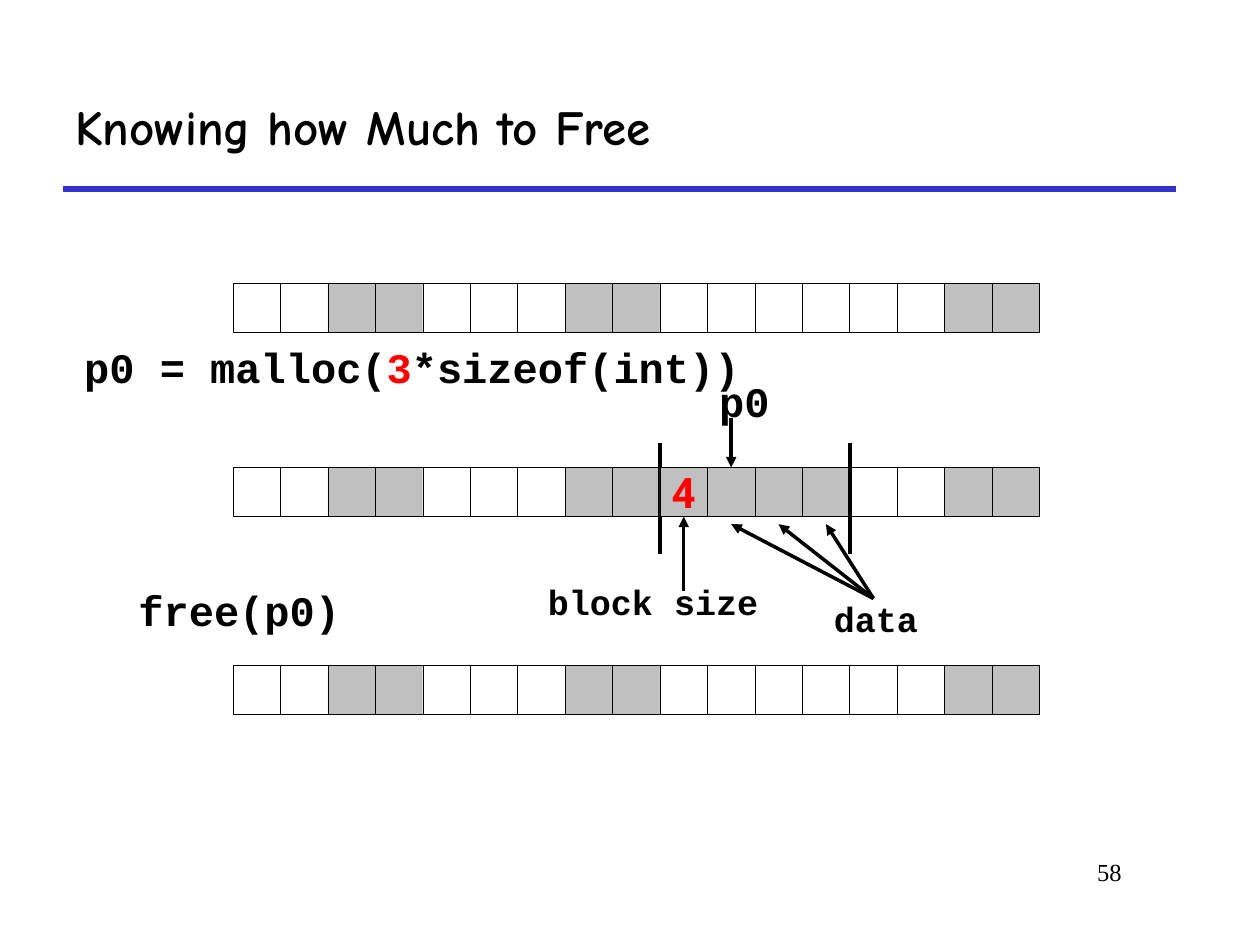
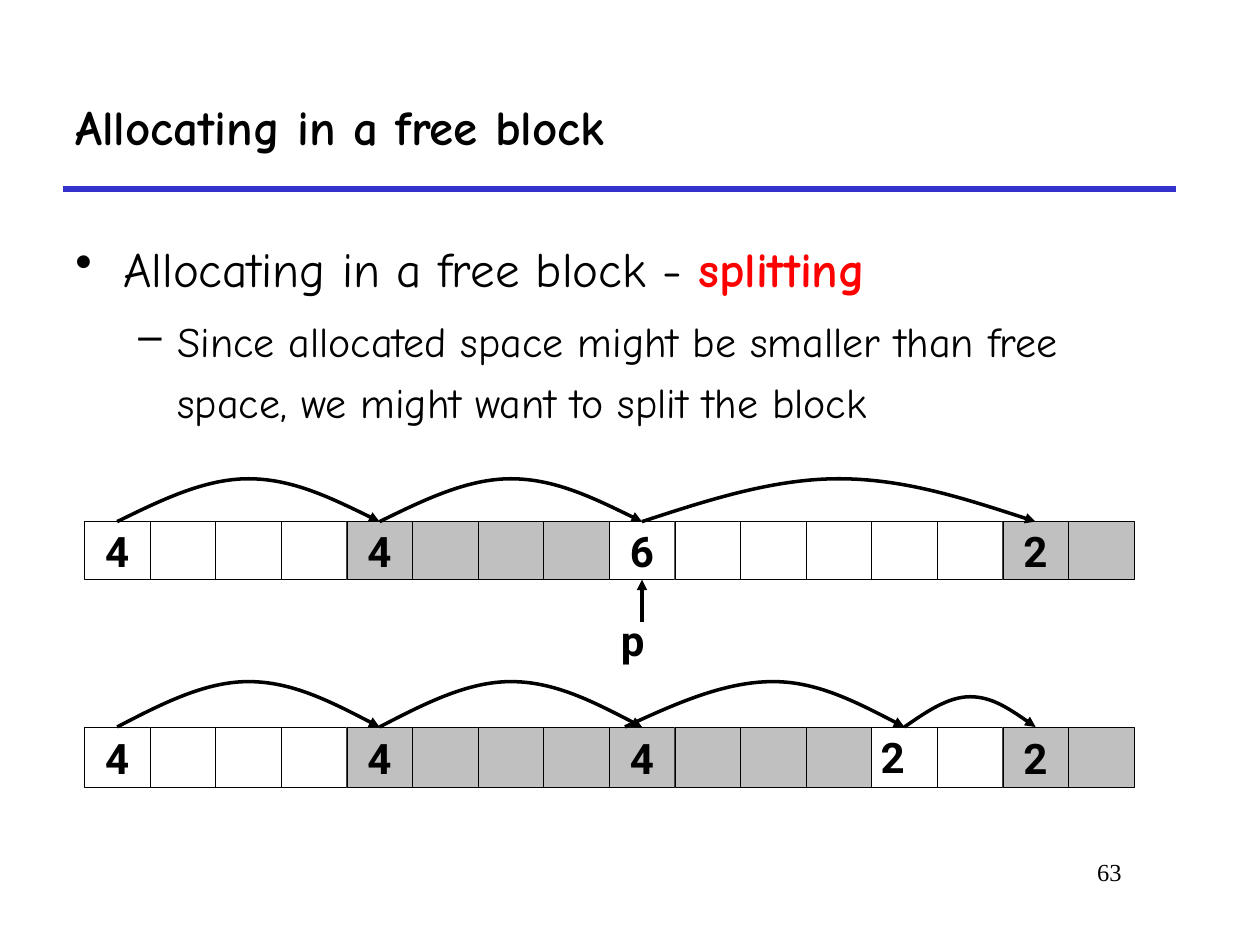
from dataclasses import dataclass

from lxml.etree import SubElement as Sub
from pptx import Presentation
from pptx.dml.color import RGBColor as Rgb
from pptx.enum.shapes import MSO_CONNECTOR as Link, MSO_SHAPE as Form
from pptx.enum.text import MSO_ANCHOR as Anchor, MSO_AUTO_SIZE as Auto, PP_ALIGN as Align
from pptx.oxml.ns import qn
from pptx.util import Inches, Pt


@dataclass(frozen=True)
class Theme:
    ink: str = "000000"
    red: str = "FF0000"
    rule: str = "3333CC"
    free: str = "FFFFFF"
    used: str = "C0C0C0"
    head: str = "Comic Neue"
    code: str = "Courier New"
    num: str = "Roboto"
    foot: str = "Times New Roman"
    big: int = 28
    mid: int = 24
    small: int = 20
    tiny: int = 14
    hair: float = 0.25
    thin: float = 2
    thick: float = 2.25
    band: float = 3


T = Theme()


@dataclass(frozen=True)
class Strip:
    left: float
    top: float
    cell: float
    high: float

    def edge(self, i):
        return self.left + i * self.cell

    def mid(self, i):
        return self.edge(i + 0.5)

    @property
    def base(self):
        return self.top + self.high


def style(para, face, size, bold=False, ink=T.ink):
    font = para.font
    font.name, font.size, font.bold = face, Pt(size), bold
    font.color.rgb = Rgb.from_string(ink)


def fill(para, parts):
    for text, ink in parts:
        run = para.add_run()
        run.text = text
        if ink:
            run.font.color.rgb = Rgb.from_string(ink)


def frame(slide, left, top, wide, high, wrap=True):
    box = slide.shapes.add_textbox(*map(Inches, (left, top, wide, high)))
    box.text_frame.word_wrap = wrap
    return box.text_frame


def label(slide, left, top, wide, high, parts, face=T.code, size=T.mid):
    area = frame(slide, left, top, wide, high, False)
    area.auto_size = Auto.SHAPE_TO_FIT_TEXT
    para = area.paragraphs[0]
    style(para, face, size, True)
    fill(para, [(parts, None)] if isinstance(parts, str) else parts)


def point(shape):
    Sub(shape.element.spPr.find(qn("a:ln")), qn("a:tailEnd"), type="triangle")


def line(slide, x1, y1, x2, y2, width=T.thin, ink=T.ink, arrow=False):
    link = slide.shapes.add_connector(
        Link.STRAIGHT, *map(Inches, (x1, y1, x2, y2)))
    link.line.color.rgb = Rgb.from_string(ink)
    link.line.width = Pt(width)
    if arrow:
        point(link)
    Sub(link.element.spPr, qn("a:effectLst"))


def bend(shape):
    legs = list(shape.element.iter(qn("a:lnTo")))
    for i in range(0, len(legs), 3):
        curve = Sub(legs[i].getparent(), qn("a:cubicBezTo"))
        for leg in legs[i:i + 3]:
            curve.append(leg[0])
            leg.getparent().remove(leg)


def arc(slide, x1, x2, base, rise, peak=None):
    peak = peak or (x1 + x2) / 2
    up, down = (peak - x1) / 3, (x2 - peak) / 3
    spots = [(x1 + up, rise / 2), (x1 + 2 * up, rise), (peak, rise),
             (peak + down, rise), (peak + 2 * down, rise / 2), (x2, 0)]
    pen = slide.shapes.build_freeform(Inches(x1), Inches(base))
    pen.add_line_segments(
        [(Inches(x), Inches(base - lift)) for x, lift in spots], close=False)
    curve = pen.convert_to_shape()
    bend(curve)
    curve.shadow.inherit = False
    curve.fill.background()
    curve.line.color.rgb = Rgb.from_string(T.ink)
    curve.line.width = Pt(T.thin)
    point(curve)


def block(slide, strip, i, used, num=None, ink=T.ink):
    box = slide.shapes.add_shape(Form.RECTANGLE, *map(
        Inches, (strip.edge(i), strip.top, strip.cell, strip.high)))
    box.shadow.inherit = False
    box.fill.solid()
    box.fill.fore_color.rgb = Rgb.from_string(T.used if used else T.free)
    box.line.color.rgb = Rgb.from_string(T.ink)
    box.line.width = Pt(T.hair)
    if num:
        area = box.text_frame
        area.word_wrap = False
        area.vertical_anchor = Anchor.MIDDLE
        para = area.paragraphs[0]
        para.alignment = Align.CENTER
        style(para, T.num, T.mid, True, ink)
        fill(para, [(num, None)])


def cells(slide, strip, marks, nums=None):
    for i, mark in enumerate(marks):
        if mark in ".#":
            block(slide, strip, i, mark == "#", (nums or {}).get(i))


def bullet(para, sign, left, hang, size, parts):
    props = para._p.get_or_add_pPr()
    props.set("marL", str(Inches(left)))
    props.set("indent", str(Inches(-hang)))
    Sub(props, qn("a:buFontTx"))
    Sub(props, qn("a:buChar"), char=sign)
    para.line_spacing = 1.2
    style(para, T.head, size)
    fill(para, parts)


def start(deck, title, page):
    slide = deck.slides.add_slide(deck.slide_layouts[6])
    line(slide, 0.5, 1.5, 9.33, 1.5, T.band, T.rule)
    para = frame(slide, 7.58, 6.75, 1.42, 0.5).paragraphs[0]
    para.alignment = Align.RIGHT
    style(para, T.foot, T.tiny)
    fill(para, [(page, None)])
    area = frame(slide, 0.5, 0.5, 8.83, 1)
    area.vertical_anchor = Anchor.MIDDLE
    style(area.paragraphs[0], T.head, T.big, True)
    fill(area.paragraphs[0], [(title, None)])
    return slide


def knowing(deck):
    slide = start(deck, "Knowing how Much to Free", "58")
    label(slide, 1, 4.59, 1.81, 0.51, "free(p0)")
    label(slide, 0.57, 2.66, 5.44, 0.51,
          [("p0 = malloc(", None), ("3", T.red), ("*sizeof(int))", None)])

    first, held, last = (Strip(1.85, top, 6.4 / 17, 0.39) for top in (2.25, 3.71, 5.28))
    idle = "..##...##......##"
    cells(slide, first, idle)
    cells(slide, last, idle)
    label(slide, 5.61, 2.93, 0.61, 0.5, "p0")
    cells(slide, held, "..##...##_###..##")

    label(slide, 4.25, 4.56, 1.89, 0.44, "block size", size=T.small)
    line(slide, held.mid(9), 4.69, held.mid(9), held.base, arrow=True)
    label(slide, 6.52, 4.69, 0.88, 0.44, "data", size=T.small)
    for i in (10, 11, 12):
        line(slide, held.mid(13), 4.75, held.mid(i), 4.16, arrow=True)
    line(slide, held.mid(10), 3.32, held.mid(10), held.top, arrow=True)
    for i in (9, 13):
        line(slide, held.edge(i), 3.52, held.edge(i), 4.4, T.thick)
    block(slide, held, 9, True, "4", T.red)


def splitting(deck):
    slide = start(deck, "Allocating in a free block", "63")
    area = frame(slide, 0.5, 1.75, 8.83, 2)
    bullet(area.paragraphs[0], "•", 0.38, 0.38, T.big,
           [("Allocating in a free block - ", None), ("splitting", T.red)])
    area.paragraphs[0].runs[1].font.bold = True
    para = area.add_paragraph()
    para.level = 1
    para.space_before = Pt(4.8)
    bullet(para, "–", 0.81, 0.31, T.mid,
           [("Since allocated space might be smaller than free space, "
             "we might want to split the block", None)])

    cell = 8.33 / 16
    old = Strip(0.67, 4.14, cell, 0.46)
    new = Strip(0.67, 5.77, cell, 0.48)
    cells(slide, old, "....####......##", {0: "4", 4: "4", 8: "6", 14: "2"})
    for a, b in ((0, 4), (4, 8), (8, 14)):
        arc(slide, old.mid(a), old.mid(b), old.top, 0.34)
    line(slide, old.mid(8), 4.94, old.mid(8), old.base, arrow=True)
    label(slide, 4.83, 4.83, 0.41, 0.51, "p", T.num)

    cells(slide, new, "....########..##", {0: "4", 4: "4", 8: "4", 14: "2"})
    label(slide, 6.89, 5.76, 0.39, 0.51, "2", T.num)
    for a, b in ((0, 4), (4, 8)):
        arc(slide, new.mid(a), new.mid(b), new.top, 0.36)
    arc(slide, 4.96, new.mid(12), new.top, 0.36, new.mid(10))
    arc(slide, new.mid(12), new.mid(14), new.top, 0.24)


def main():
    deck = Presentation()
    deck.slide_width, deck.slide_height = Inches(10), Inches(7.5)
    knowing(deck)
    splitting(deck)
    deck.save("out.pptx")


if __name__ == "__main__":
    main()
